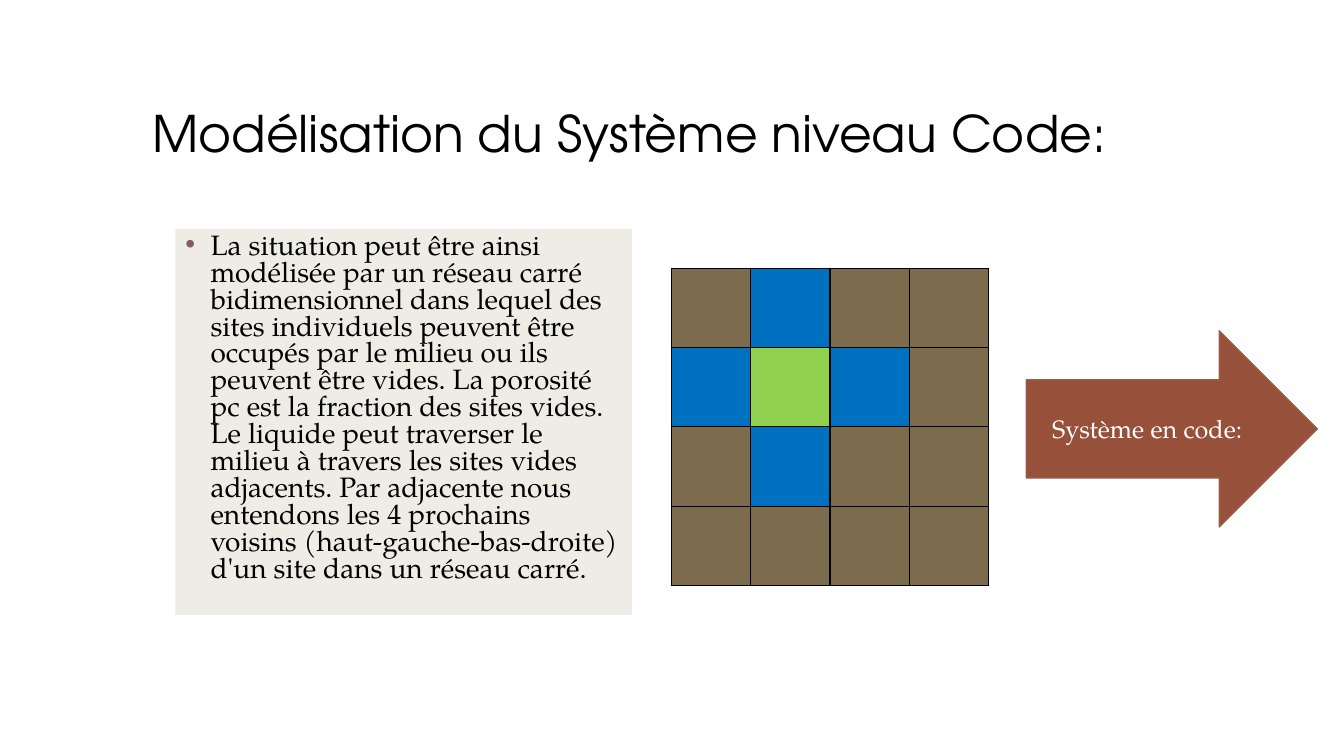
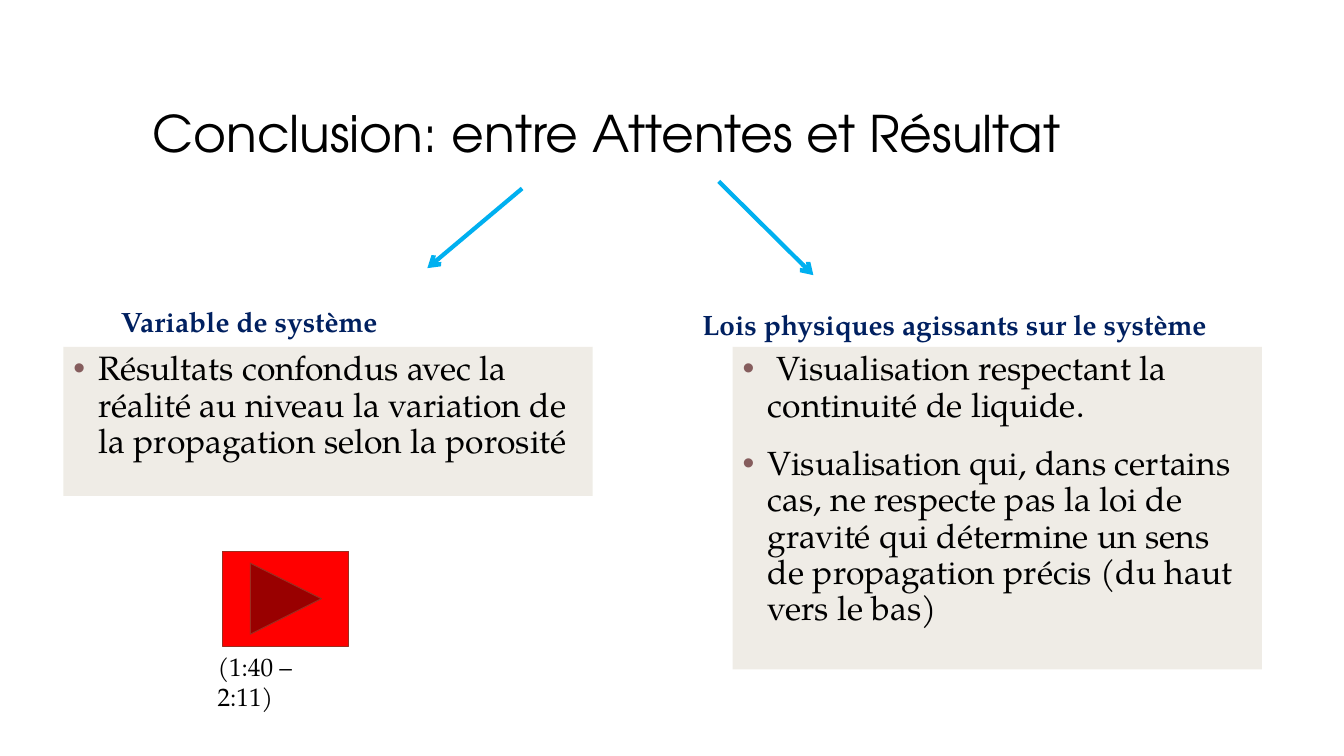
from lxml import etree
from pptx import Presentation
from pptx.dml.color import RGBColor
from pptx.enum.shapes import MSO_CONNECTOR, MSO_SHAPE
from pptx.enum.text import MSO_ANCHOR, MSO_AUTO_SIZE, PP_ALIGN
from pptx.oxml.ns import qn
from pptx.util import Inches, Pt

RECTANGLE = MSO_SHAPE.RECTANGLE
RIGHT_ARROW = MSO_SHAPE.RIGHT_ARROW
PLAY_BUTTON = MSO_SHAPE.ACTION_BUTTON_FORWARD_OR_NEXT
STRAIGHT = MSO_CONNECTOR.STRAIGHT
LEFT, CENTER = PP_ALIGN.LEFT, PP_ALIGN.CENTER
TOP, MIDDLE, BOTTOM = MSO_ANCHOR.TOP, MSO_ANCHOR.MIDDLE, MSO_ANCHOR.BOTTOM

SLIDE_WIDTH, SLIDE_HEIGHT = Inches(13.33), Inches(7.5)
TITLE_ONLY = 5
TITLE_FONT, BODY_FONT = "TeX Gyre Adventor", "TeX Gyre Pagella"
BLACK, WHITE, NAVY, SKY = "000000", "FFFFFF", "002060", "00B0F0"
PANEL, PANEL_OPACITY, BULLET = "E9E5DC", 70, "855D5D"
RUST, RUST_EDGE, RED, RED_EDGE = "97513A", "956251", "FF0000", "9B2D1F"
SITE_FILLS = {"M": "7C6B4D", "V": "0070C0", "S": "92D050"}
SITES = ["MVMM", "VSVM", "MVMM", "MMMM"]


def color(hex_string):
    return RGBColor.from_string(hex_string)


def across(share):
    """Length for a percentage of the slide's width."""
    return round(SLIDE_WIDTH * share / 100)


def down(share):
    """Length for a percentage of the slide's height."""
    return round(SLIDE_HEIGHT * share / 100)


def area(left, top, width, height):
    return across(left), down(top), across(width), down(height)


def add_element(parent, tag, **attributes):
    return etree.SubElement(parent, qn(tag), attributes)


def add_run(paragraph, text, size, ink=BLACK, font=BODY_FONT, bold=False):
    run = paragraph.add_run()
    run.text = text
    run.font.size, run.font.name, run.font.bold = Pt(size), font, bold
    run.font.color.rgb = color(ink)


def set_frame(frame, anchor):
    frame.word_wrap = True
    frame.auto_size = MSO_AUTO_SIZE.NONE
    frame.vertical_anchor = anchor


def add_titled_slide(deck, text):
    slide = deck.slides.add_slide(deck.slide_layouts[TITLE_ONLY])
    title = slide.shapes.title
    title.left, title.top, title.width, title.height = area(10.58, 5.6, 78.75, 16.67)
    set_frame(title.text_frame, BOTTOM)
    paragraph = title.text_frame.paragraphs[0]
    paragraph.alignment, paragraph.line_spacing = LEFT, 0.9
    add_run(paragraph, text, 36, font=TITLE_FONT)
    return slide


def add_filled_shape(slide, preset, box, fill, edge=None):
    shape = slide.shapes.add_shape(preset, *box)
    shape.shadow.inherit = False
    shape.fill.solid()
    shape.fill.fore_color.rgb = color(fill)
    if edge:
        shape.line.color.rgb = color(edge)
        shape.line.width = Pt(0.75)
    else:
        shape.line.fill.background()
    return shape


def add_bullet(paragraph):
    properties = paragraph._p.get_or_add_pPr()
    properties.set("marL", str(Inches(0.25)))
    properties.set("indent", str(-Inches(0.25)))
    add_element(add_element(properties, "a:buClr"), "a:srgbClr", val=BULLET)
    add_element(properties, "a:buFont", typeface="Arial")
    add_element(properties, "a:buChar", char="•")


def add_bullet_panel(slide, box, points, size, line_spacing=0.9):
    panel = add_filled_shape(slide, RECTANGLE, box, PANEL)
    tint = panel._element.spPr.find(qn("a:solidFill"))[0]
    add_element(tint, "a:alpha", val=str(PANEL_OPACITY * 1000))
    frame = panel.text_frame
    set_frame(frame, TOP)
    for index, point in enumerate(points):
        paragraph = frame.add_paragraph() if index else frame.paragraphs[0]
        add_bullet(paragraph)
        paragraph.alignment, paragraph.line_spacing = LEFT, line_spacing
        paragraph.space_before = Pt(16 if index else 0)
        add_run(paragraph, point, size)


def add_label(slide, box, text, size, ink=BLACK, bold=False):
    frame = slide.shapes.add_textbox(*box).text_frame
    set_frame(frame, MIDDLE)
    add_run(frame.paragraphs[0], text, size, ink, bold=bold)


def add_code_arrow(slide, box, text):
    arrow = add_filled_shape(slide, RIGHT_ARROW, box, RUST, RUST_EDGE)
    set_frame(arrow.text_frame, MIDDLE)
    paragraph = arrow.text_frame.paragraphs[0]
    paragraph.alignment = CENTER
    add_run(paragraph, text, 18, WHITE)


def add_pointer(slide, start, end):
    pointer = slide.shapes.add_connector(
        STRAIGHT, across(start[0]), down(start[1]), across(end[0]), down(end[1]))
    pointer.line.color.rgb = color(SKY)
    pointer.line.width = Pt(3)
    add_element(pointer.line._get_or_add_ln(), "a:tailEnd", type="arrow")
    add_element(pointer._element.spPr, "a:effectLst")


def set_cell(cell, fill):
    properties = cell._tc.get_or_add_tcPr()
    for side in ("a:lnL", "a:lnR", "a:lnT", "a:lnB"):
        border = add_element(properties, side, w=str(Pt(1)))
        add_element(add_element(border, "a:solidFill"), "a:srgbClr", val=BLACK)
    cell.fill.solid()
    cell.fill.fore_color.rgb = color(fill)


def add_site_grid(slide, box):
    """Draw the square lattice: M medium, V neighbour, S chosen site."""
    grid = slide.shapes.add_table(len(SITES), len(SITES[0]), *box).table
    for row, kinds in enumerate(SITES):
        for column, kind in enumerate(kinds):
            set_cell(grid.cell(row, column), SITE_FILLS[kind])


def build_model(deck):
    slide = add_titled_slide(deck, "Modélisation du Système niveau Code:")
    add_bullet_panel(slide, area(13.05, 30.27, 33.98, 51.07), [
        "La situation peut être ainsi modélisée par un réseau carré "
        "bidimensionnel dans lequel des sites individuels peuvent être occupés "
        "par le milieu ou ils peuvent être vides. La porosité pc est la "
        "fraction des sites vides. Le liquide peut traverser le milieu à "
        "travers les sites vides adjacents. Par adjacente nous entendons les 4 "
        "prochains voisins (haut-gauche-bas-droite) d'un site dans un réseau "
        "carré."], 20, 0.8)
    add_code_arrow(slide, area(76.35, 43.73, 21.68, 26), "Système en code:")
    add_site_grid(slide, area(49.95, 35.47, 23.62, 42))


def build_conclusion(deck):
    slide = add_titled_slide(deck, "Conclusion: entre Attentes et Résultat")
    add_bullet_panel(slide, area(4.72, 45.87, 39.38, 19.73), [
        "Résultats confondus avec la réalité au niveau la variation de la "
        "propagation selon la porosité"], 24)
    add_pointer(slide, (38.85, 24.93), (31.8, 35.47))
    add_pointer(slide, (53.48, 24), (60.52, 36.4))
    add_bullet_panel(slide, area(54.52, 45.87, 39.38, 42.67), [
        " Visualisation respectant la continuité de liquide.",
        "Visualisation qui, dans certains cas, ne respecte pas la loi de "
        "gravité qui détermine un sens de propagation précis (du haut vers le "
        "bas)"], 24)
    add_label(slide, area(8.25, 39.6, 21.22, 5.87),
              "Variable de système", 20, NAVY, True)
    add_label(slide, area(51.52, 40, 39.9, 5.87),
              "Lois physiques agissants sur le système", 20, NAVY, True)
    add_filled_shape(slide, PLAY_BUTTON, area(16.58, 72.93, 9.38, 12.53), RED, RED_EDGE)
    add_label(slide, area(15.45, 87.47, 11.32, 5.33), "(1:40 – 2:11)", 18)


def main():
    deck = Presentation()
    deck.slide_width, deck.slide_height = SLIDE_WIDTH, SLIDE_HEIGHT
    build_model(deck)
    build_conclusion(deck)
    deck.save("out.pptx")


if __name__ == "__main__":
    main()
